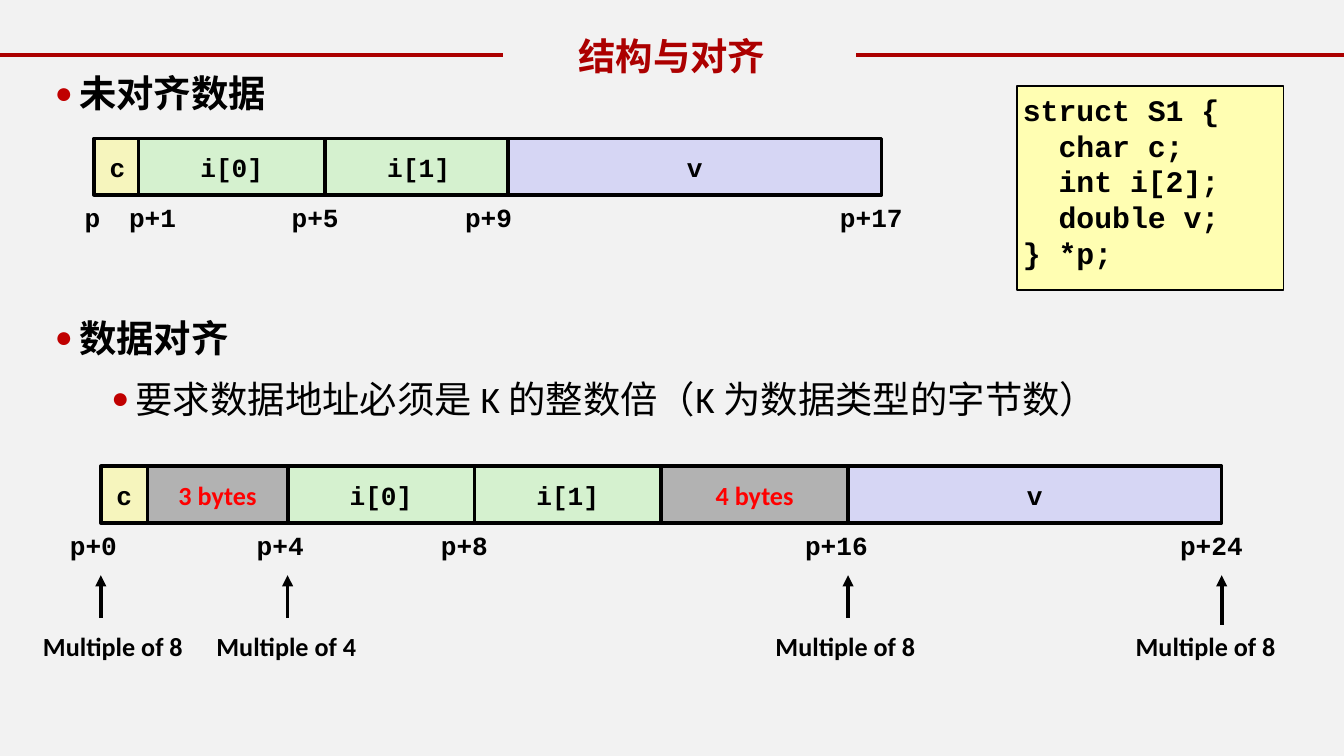
import lxml.etree
import pptx
import pptx.dml.color
import pptx.enum.shapes
import pptx.enum.text
import pptx.oxml.ns
import pptx.util

Inches = pptx.util.Inches
Pt = pptx.util.Pt
RGB = pptx.dml.color.RGBColor
ALIGN = pptx.enum.text.PP_ALIGN
ANCHOR = pptx.enum.text.MSO_ANCHOR
RECT = pptx.enum.shapes.MSO_SHAPE.RECTANGLE
STRAIGHT = pptx.enum.shapes.MSO_CONNECTOR.STRAIGHT
qn = pptx.oxml.ns.qn

BLACK = RGB(0, 0, 0)
PAPER = RGB(0xF2, 0xF2, 0xF2)
DARK_RED = RGB(0xAC, 0, 0)
BULLET_RED = RGB(0xC0, 0, 0)
PAD_RED = RGB(0xFF, 0, 0)
CHAR = RGB(0xF6, 0xF5, 0xBD)
INT = RGB(0xD5, 0xF1, 0xCF)
DOUBLE = RGB(0xD6, 0xD6, 0xF4)
PADDING = RGB(0xB2, 0xB2, 0xB2)
CODE_FILL = RGB(0xFF, 0xFE, 0xB2)

MONO = "Courier New"
SANS = "Calibri"
CJK = "Noto Sans CJK SC"
BYTE = 2.78 / 8


def style_run(r, size, font, color=BLACK, bold=True):
    r.font.size = Pt(size)
    r.font.name = font
    r.font.bold = bold
    r.font.color.rgb = color
    latin = r._r.get_or_add_rPr().find(qn("a:latin"))
    ea = lxml.etree.Element(qn("a:ea"), typeface=CJK)
    latin.addnext(ea)


def fill_text(sp, text, size, font, color=BLACK, align=ALIGN.LEFT,
              anchor=ANCHOR.TOP, wrap=True, inset=0.04):
    tf = sp.text_frame
    tf.word_wrap = wrap
    tf.vertical_anchor = anchor
    tf.margin_left = tf.margin_right = Inches(inset)
    tf.margin_top = tf.margin_bottom = Inches(inset)
    tf.text = text
    for p in tf.paragraphs:
        p.alignment = align
        for r in p.runs:
            style_run(r, size, font, color)


def add_label(shapes, text, x, y, w, h, font, wrap):
    sp = shapes.add_textbox(Inches(x), Inches(y), Inches(w), Inches(h))
    fill_text(sp, text, 14, font, wrap=wrap)


def add_box(shapes, x, y, w, h, fill, line_width):
    sp = shapes.add_shape(RECT, Inches(x), Inches(y), Inches(w), Inches(h))
    sp.shadow.inherit = False
    sp.fill.solid()
    sp.fill.fore_color.rgb = fill
    sp.line.color.rgb = BLACK
    sp.line.width = Pt(line_width)
    return sp


def add_line(shapes, x1, y1, x2, y2, color, arrow=False):
    c = shapes.add_connector(STRAIGHT, Inches(x1), Inches(y1), Inches(x2), Inches(y2))
    c.line.color.rgb = color
    c.line.width = Pt(2)
    if arrow:
        ln = c.line._get_or_add_ln()
        lxml.etree.SubElement(ln, qn("a:tailEnd"), type="triangle")
    lxml.etree.SubElement(c._element.spPr, qn("a:effectLst"))


def add_title(s, x, y, w, h):
    middle = y + h / 2
    add_line(s.shapes, 0, middle, x - 0.43, middle, DARK_RED)
    add_line(s.shapes, x + w + 0.54, middle, 10, middle, DARK_RED)
    sp = s.shapes.title
    sp.left, sp.top, sp.width, sp.height = map(Inches, (x, y, w, h))
    fill_text(sp, "结构与对齐", 20, CJK, DARK_RED, ALIGN.CENTER, ANCHOR.MIDDLE,
              wrap=False)


def add_bullets(s, x, y, w, h):
    items = [
        (["未对齐数据"], 0, 0.18, 0),
        (["数据对齐"], 0, 0.18, 102),
        (["要求数据地址必须是 ", "K 的整数倍（K 为数据类型的字节数）"], 1, 0.6, 4),
    ]
    sp = s.shapes.add_textbox(Inches(x), Inches(y), Inches(w), Inches(h))
    tf = sp.text_frame
    tf.word_wrap = True
    for i, (texts, level, indent, before) in enumerate(items):
        p = tf.add_paragraph() if i else tf.paragraphs[0]
        p.level = level
        p.line_spacing = 1.2
        p.space_before = Pt(before)
        pPr = p._p.get_or_add_pPr()
        pPr.set("marL", str(Inches(indent)))
        pPr.set("indent", str(Inches(-0.18)))
        clr = lxml.etree.SubElement(pPr, qn("a:buClr"))
        lxml.etree.SubElement(clr, qn("a:srgbClr"), val=str(BULLET_RED))
        lxml.etree.SubElement(pPr, qn("a:buSzPct"), val="80000")
        lxml.etree.SubElement(pPr, qn("a:buFont"), typeface="Arial")
        lxml.etree.SubElement(pPr, qn("a:buChar"), char="●")
        for text, font in zip(texts, ("Arial", SANS)):
            r = p.add_run()
            r.text = text
            style_run(r, 20, font, bold=level == 0)


def add_code(s, x, y, w, h):
    sp = add_box(s.shapes, x, y, w, h, CODE_FILL, 1)
    code = "struct S1 {\n  char c;\n  int i[2];\n  double v;\n} *p;"
    fill_text(sp, code, 16, MONO)


def add_memory(s, x, y, fields, addresses, multiples=()):
    shapes = s.shapes.add_group_shape().shapes
    for text, dx, size, fill in fields:
        sp = add_box(shapes, x + dx, y, size * BYTE, 0.42, fill, 2)
        pad = fill == PADDING
        fill_text(sp, text, 14, SANS if pad else MONO, PAD_RED if pad else BLACK,
                  ALIGN.CENTER, ANCHOR.MIDDLE)
    for text, dx in addresses:
        w = 0.08 + 0.12 * len(text)
        add_label(shapes, text, x + dx, y + 0.43, w, 0.32, MONO, wrap=False)
    for text, offset, dx, length in multiples:
        ax = x + offset * BYTE
        add_line(shapes, ax, y + 0.81 + length, ax, y + 0.81, BLACK, arrow=True)
        add_label(shapes, text, ax + dx, y + 1.18, 1.24, 0.39, SANS, wrap=True)


def main():
    prs = pptx.Presentation()
    prs.slide_width = Inches(10)
    prs.slide_height = prs.slide_width * 9 // 16
    s = prs.slides.add_slide(prs.slide_layouts[5])
    s.background.fill.solid()
    s.background.fill.fore_color.rgb = PAPER

    add_bullets(s, 0.31, 0.41, 9.69, 3.94)
    add_title(s, 4.17, 0.19, 1.66, 0.44)
    add_memory(
        s, 0.7, 1.03,
        [("c", 0, 1, CHAR), ("i[0]", 0.33, 4, INT), ("i[1]", 1.72, 4, INT),
         ("v", 3.08, 8, DOUBLE)],
        [("p", -0.11), ("p+1", 0.22), ("p+5", 1.43), ("p+9", 2.72), ("p+17", 5.51)])
    add_code(s, 7.57, 0.64, 1.98, 1.52)

    padded = [("c", 1, CHAR), ("3 bytes", 3, PADDING), ("i[0]", 4, INT),
              ("i[1]", 4, INT), ("4 bytes", 4, PADDING), ("v", 8, DOUBLE)]
    fields, offset = [], 0
    for text, size, fill in padded:
        fields.append((text, offset * BYTE, size, fill))
        offset += size
    add_memory(
        s, 0.75, 3.47, fields,
        [("p+0", -0.27), ("p+4", 1.12), ("p+8", 2.49), ("p+16", 5.2), ("p+24", 7.99)],
        [("Multiple of 8", 0, -0.47, 0.32), ("Multiple of 4", 4, -0.57, 0.32),
         ("Multiple of 8", 16, -0.58, 0.32), ("Multiple of 8", 24, -0.68, 0.37)])
    prs.save("out.pptx")


if __name__ == "__main__":
    main()
